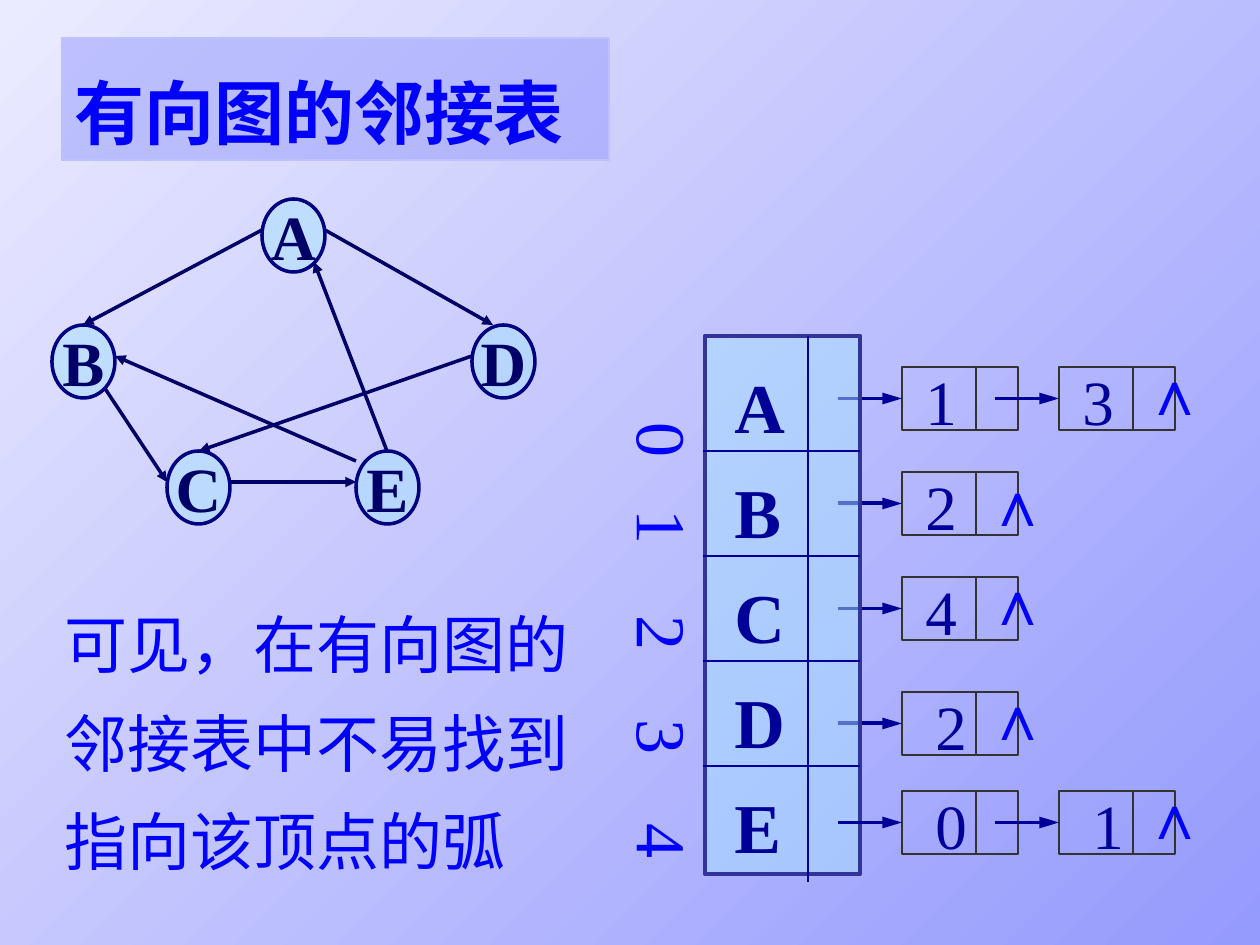
from dataclasses import dataclass

from pptx import Presentation
from pptx.dml.color import RGBColor
from pptx.enum.shapes import MSO_CONNECTOR, MSO_SHAPE
from pptx.enum.text import MSO_ANCHOR, MSO_AUTO_SIZE, PP_ALIGN
from pptx.oxml.ns import qn
from pptx.util import Pt
from lxml.etree import SubElement

SCALE = 914400 / 126


@dataclass(frozen=True)
class Theme:
    """Colours, fonts and type sizes of the slide."""
    serif: str = "Times New Roman"
    sans: str = "Arial"
    large: int = 40
    body: int = 36
    bg_light: str = "EBEBFF"
    bg_dark: str = "959AFD"
    title_edge: str = "BEC1FE"
    blue: str = "0000FF"
    ink: str = "000099"
    edge: str = "000066"
    ring: str = "000080"
    frame: str = "333399"
    cell: str = "333333"
    sky: str = "A7E2FF"


T = Theme()


def px(n):
    """Turn pixels into EMU."""
    return round(n * SCALE)


def rgb(c):
    """Make a colour from its hex string."""
    return RGBColor.from_string(c)


def add_box(s, kind, x, y, w, h, line, width, fill=None):
    """Add an outlined shape, with a half-transparent fill if one is given."""
    sp = s.shapes.add_shape(kind, px(x), px(y), px(w), px(h))
    sp.shadow.inherit = False
    sp.line.color.rgb = rgb(line)
    sp.line.width = Pt(width)
    if fill:
        sp.fill.solid()
        sp.fill.fore_color.rgb = rgb(fill)
        clr = sp.fill._xPr.find(qn("a:solidFill"))[0]
        SubElement(clr, qn("a:alpha"), val="50000")
    else:
        sp.fill.background()
    return sp


def add_line(s, x1, y1, x2, y2, color, width, head=None):
    """Add a straight line, ending in an arrowhead of the given length."""
    c = s.shapes.add_connector(MSO_CONNECTOR.STRAIGHT, px(x1), px(y1), px(x2), px(y2))
    c.line.color.rgb = rgb(color)
    c.line.width = Pt(width)
    if head:
        SubElement(c.line._get_or_add_ln(), qn("a:tailEnd"), type="triangle", len=head)
    SubElement(c._element.spPr, qn("a:effectLst"))


def write(sp, lines, size, color, bold=False, font=T.serif, wrap=True,
          align=PP_ALIGN.LEFT, spacing=None, indent=0):
    """Fill a shape with one paragraph per line."""
    tf = sp.text_frame
    tf.word_wrap = wrap
    tf.vertical_anchor = MSO_ANCHOR.TOP
    for i, text in enumerate(lines):
        p = tf.paragraphs[0] if i == 0 else tf.add_paragraph()
        p.alignment = align
        if spacing:
            p.line_spacing = spacing
        pPr = p._p.get_or_add_pPr()
        pPr.set("marL", str(px(indent)))
        pPr.set("indent", "0")
        r = p.add_run()
        r.text = text
        r.font.name = font
        r.font.size = Pt(size)
        r.font.bold = bold
        r.font.color.rgb = rgb(color)
    return tf


def add_text(s, x, y, w, h, lines, size, color, **kw):
    """Add a text box holding the given lines."""
    sp = s.shapes.add_textbox(px(x), px(y), px(w), px(h))
    tf = write(sp, lines, size, color, **kw)
    tf.auto_size = MSO_AUTO_SIZE.SHAPE_TO_FIT_TEXT
    return tf


def background(s):
    """Lay a diagonal gradient behind the slide."""
    fill = s.background.fill
    fill.gradient()
    fill.gradient_angle = 315
    for stop, color in zip(fill.gradient_stops, (T.bg_light, T.bg_dark)):
        stop.color.rgb = rgb(color)


def title(s, x, y, w, h):
    """Draw the title panel."""
    sp = add_box(s, MSO_SHAPE.RECTANGLE, x, y, w, h, T.title_edge, 1, T.bg_dark)
    write(sp, ["有向图的邻接表"], T.large, T.blue, bold=True, spacing=1.3)


def graph(s, x, y):
    """Draw the directed graph from its top left corner."""
    edges = [(210, 31, 31, 126), (52, 188, 115, 283), (178, 283, 304, 283),
             (335, 252, 262, 63), (273, 31, 441, 126), (304, 262, 63, 157),
             (420, 157, 147, 252)]
    nodes = {"A": (210, 0), "B": (0, 126), "D": (420, 126),
             "C": (115, 252), "E": (304, 252)}
    for x1, y1, x2, y2 in edges:
        add_line(s, x + x1, y + y1, x + x2, y + y2, T.edge, 2, head="med")
    for name, (dx, dy) in nodes.items():
        sp = add_box(s, MSO_SHAPE.OVAL, x + dx, y + dy, 63, 73, T.ring, 2, T.sky)
        tf = write(sp, [name], T.body, T.edge, bold=True, wrap=False,
                   align=PP_ALIGN.CENTER)
        tf.vertical_anchor = MSO_ANCHOR.MIDDLE


def indices(s, x, y):
    """Write the array indices, turned sideways, down a column."""
    for i, dy in enumerate((0, 87, 193, 298, 401)):
        tf = add_text(s, x, y + dy, 108, 70, [str(i)], T.large, T.blue)
        tf.margin_left = tf.margin_right = px(6)
        tf.margin_top = tf.margin_bottom = px(13)
        tf._txBody.bodyPr.set("vert", "eaVert")


def chain(s, x, y, values, text_dx, mark_dy):
    """Draw one linked list of arc nodes, closed by a null mark."""
    pitch, w, h, split = 157, 116, 63, 74
    mid = y + h / 2
    for i, value in enumerate(values):
        left = x + i * pitch
        add_text(s, left + text_dx, y - 11, 57, 88, [value], T.body, T.ink, wrap=False)
        add_box(s, MSO_SHAPE.RECTANGLE, left, y, w, h, T.cell, 1)
        add_line(s, left + split, y, left + split, y + h, T.cell, 1)
        add_line(s, left - 64, mid, left, mid, T.ink, 2.25, head="lg")
    add_text(s, left + 72, y + mark_dy, 45, 88, ["∧"], T.body, T.blue,
             font=T.sans, wrap=False)


def vertex_array(s, x, y, w, h):
    """Draw the vertex array with its link column."""
    sp = add_box(s, MSO_SHAPE.RECTANGLE, x, y, w, h, T.frame, 2.75, T.sky)
    write(sp, "ABCDE", T.large, T.ink, bold=True, spacing=1.25, indent=17)
    add_line(s, x + 103, y, x + 103, y + h + 8, T.ink, 1)
    for i in range(4):
        row = y + 115 + i * 105
        add_line(s, x - 2, row, x + w, row, T.ink, 1)


def adjacency_list(s, x, y):
    """Draw the indices, the vertex array and its linked lists."""
    rows = [(31, "13", 11, -21), (136, "2", 11, -15), (241, "4", 11, -21),
            (356, "2", 21, -21), (455, "01", 21, -21)]
    indices(s, x - 100, y + 73)
    for i, (dy, values, text_dx, mark_dy) in enumerate(rows):
        if i == len(rows) - 1:
            vertex_array(s, x, y, 155, 538)
        chain(s, x + 197, y + dy, values, text_dx, mark_dy)


def conclusion(s, x, y, w, h):
    """Write the closing remark."""
    add_text(s, x, y, w, h, ["可见，在有向图的邻接表中不易找到指向该顶点的弧"],
             T.body, T.blue, spacing=1.3)


def main():
    """Build the slide and save it."""
    prs = Presentation()
    prs.slide_width, prs.slide_height = px(1260), px(945)
    s = prs.slides.add_slide(prs.slide_layouts[6])
    background(s)
    title(s, 62, 38, 547, 122)
    adjacency_list(s, 705, 336)
    graph(s, 52, 199)
    conclusion(s, 52, 577, 557, 307)
    prs.save("out.pptx")


if __name__ == "__main__":
    main()
